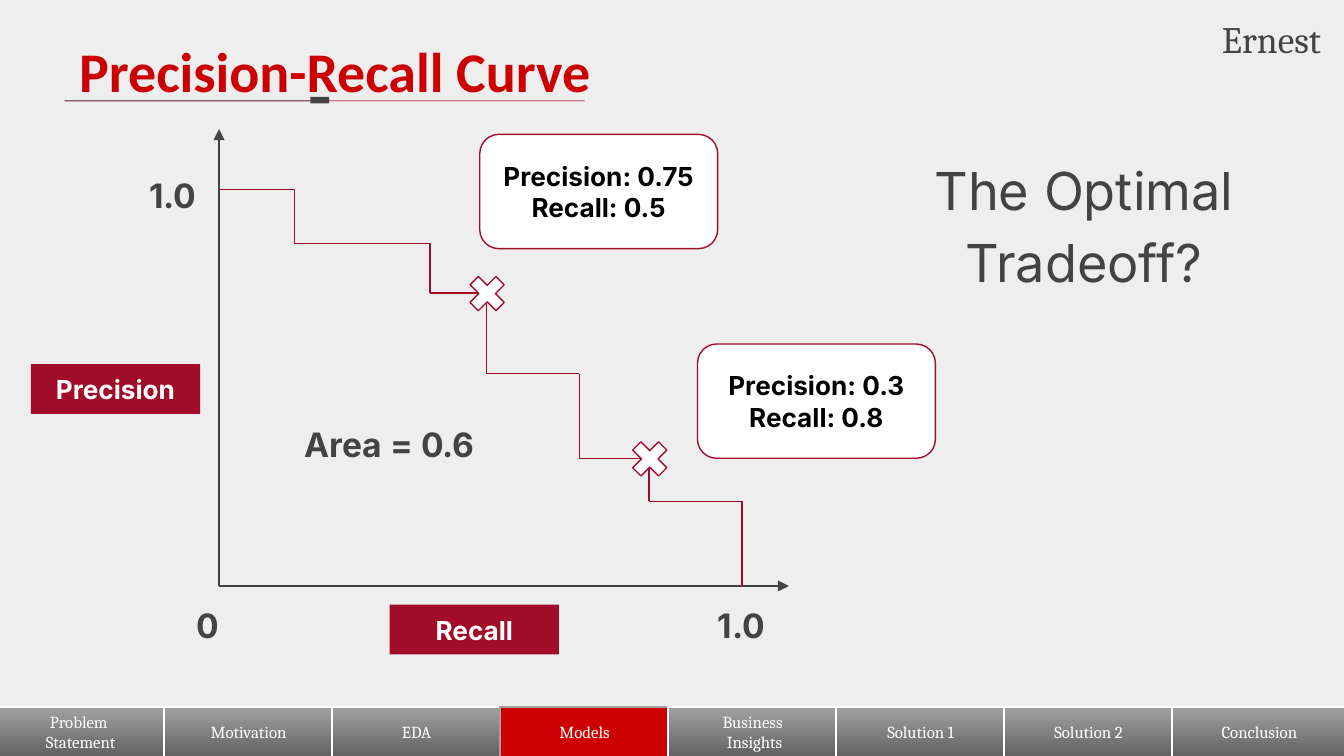
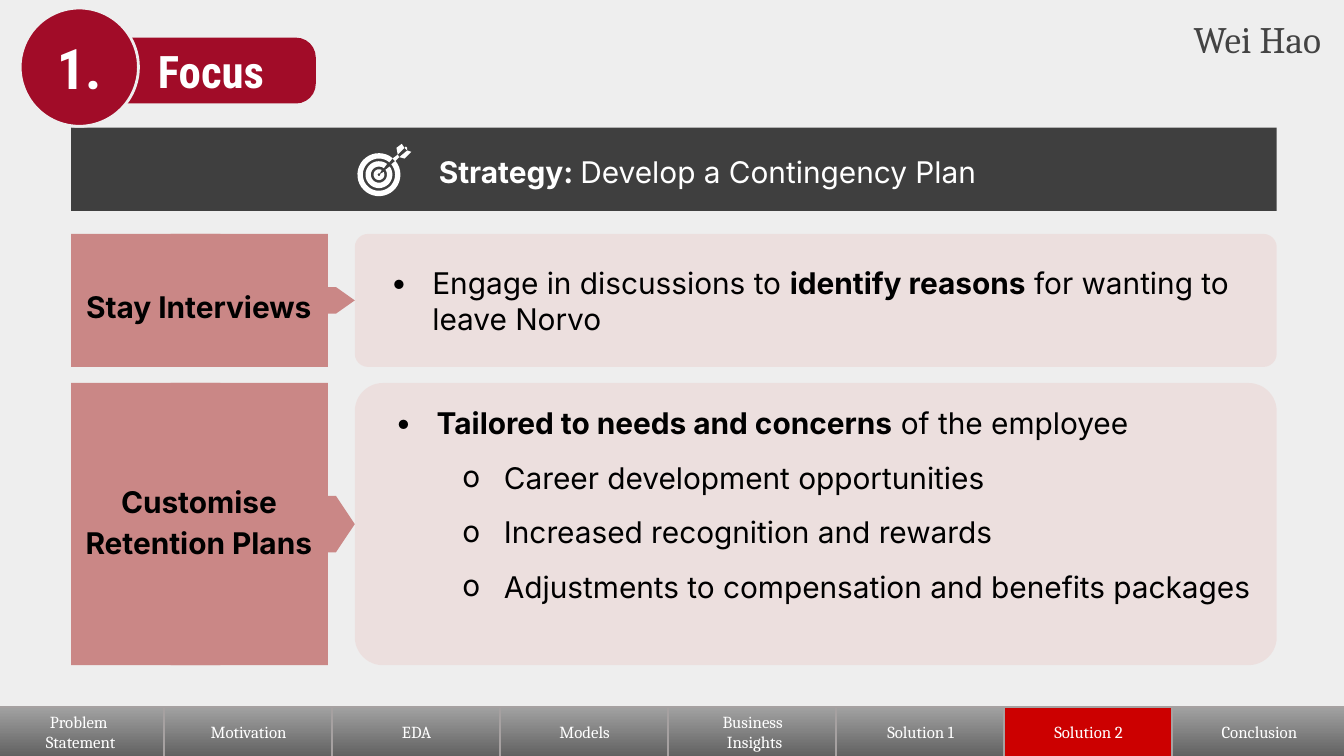
import math
from dataclasses import dataclass

import pptx
import pptx.dml.color
import pptx.enum.shapes
import pptx.enum.text
import pptx.oxml
import pptx.oxml.ns
import pptx.util

Inches = pptx.util.Inches
Pt = pptx.util.Pt
RGBColor = pptx.dml.color.RGBColor
Shape = pptx.enum.shapes.MSO_SHAPE
Align = pptx.enum.text.PP_ALIGN
Anchor = pptx.enum.text.MSO_ANCHOR
qn = pptx.oxml.ns.qn

BACKGROUND = RGBColor(0xEE, 0xEE, 0xEE)
WHITE = RGBColor(0xFF, 0xFF, 0xFF)
BLACK = RGBColor(0, 0, 0)
RED = RGBColor(0xCC, 0, 0)
CRIMSON = RGBColor(0xA1, 0x0C, 0x28)
CHARCOAL = RGBColor(0x43, 0x43, 0x43)
BANNER = RGBColor(0x3F, 0x3F, 0x3F)
SALMON = RGBColor(0xE3, 0x80, 0x75)
ROSE = RGBColor(0xCA, 0x87, 0x86)
TAB_TOP = RGBColor(0xA2, 0xA2, 0xA2)
TAB_BOTTOM = RGBColor(0x61, 0x61, 0x61)
TAB_EDGE = RGBColor(0xA6, 0xA1, 0xA1)

SECTIONS = ["Problem \nStatement", "Motivation", "EDA", "Models",
            "Business\n Insights", "Solution 1", "Solution 2", "Conclusion"]


@dataclass
class Style:
    size: float
    color: RGBColor
    font: str = "Inter"
    bold: bool = False
    align: Align = Align.CENTER
    anchor: Anchor = Anchor.MIDDLE
    spacing: float = 1.0
    insets: tuple = (0.1, 0.1)


TAB = Style(9, WHITE, "Cambria", insets=(0.07, 0.04))
SPEAKER = Style(20, CHARCOAL, "Cambria", align=Align.RIGHT, anchor=Anchor.TOP, insets=(0.07, 0.04))
TITLE = Style(30, RED, "Calibri", True, Align.LEFT, Anchor.TOP)
AXIS_NAME = Style(14, WHITE, bold=True)
CALLOUT = Style(14, BLACK, bold=True)
CHART_TEXT = Style(18, CHARCOAL, bold=True, anchor=Anchor.TOP, spacing=1.15)
QUESTION = Style(28, CHARCOAL, anchor=Anchor.TOP, spacing=1.15)
STRATEGY = Style(16, WHITE, spacing=1.15)
ROW_LABEL = Style(16, BLACK, bold=True, anchor=Anchor.TOP, spacing=1.15)
BODY = Style(16, BLACK, align=Align.LEFT)
BODY_TOP = Style(16, BLACK, align=Align.LEFT, anchor=Anchor.TOP)
BADGE_NUMBER = Style(30, WHITE, "Roboto Condensed", True)
BADGE_NAME = Style(24, WHITE, "Roboto Condensed", True)


def set_alpha(element, percent):
    color = element.find(".//" + qn("a:srgbClr"))
    alpha = color.makeelement(qn("a:alpha"), {"val": str(percent * 1000)})
    color.append(alpha)


def write_runs(paragraph, runs, style):
    paragraph.alignment = style.align
    paragraph.line_spacing = style.spacing
    paragraph.font.size = Pt(style.size)
    for text, bold in runs:
        run = paragraph.add_run()
        run.text = text
        run.font.name = style.font
        run.font.size = Pt(style.size)
        run.font.bold = bold
        run.font.color.rgb = style.color


def prepare_frame(shape, style):
    frame = shape.text_frame
    frame.word_wrap = True
    frame.vertical_anchor = style.anchor
    frame.margin_left = frame.margin_right = Inches(style.insets[0])
    frame.margin_top = frame.margin_bottom = Inches(style.insets[1])
    return frame


def write_text(shape, text, style):
    frame = prepare_frame(shape, style)
    for index, line in enumerate(text.split("\n")):
        paragraph = frame.add_paragraph() if index else frame.paragraphs[0]
        write_runs(paragraph, [(line, style.bold)], style)


def write_bullets(shape, items, style):
    frame = prepare_frame(shape, style)
    for index, (level, runs) in enumerate(items):
        paragraph = frame.add_paragraph() if index else frame.paragraphs[0]
        paragraph.level = level
        properties = paragraph._p.get_or_add_pPr()
        properties.set("marL", str(Inches(0.45 + 0.5 * level)))
        properties.set("indent", str(Inches(-0.31)))
        color = pptx.oxml.parse_xml(
            f'<a:buClr {pptx.oxml.ns.nsdecls("a")}><a:srgbClr val="{BLACK}"/></a:buClr>')
        properties.append(color)
        properties.append(properties.makeelement(qn("a:buSzPts"), {"val": str(style.size * 100)}))
        properties.append(properties.makeelement(qn("a:buFont"), {"typeface": style.font}))
        properties.append(properties.makeelement(qn("a:buChar"), {"char": "•o"[level]}))
        if level:
            paragraph.space_before = Pt(10)
        write_runs(paragraph, runs, style)


def paint(shape, fill, line=None, width=0.75):
    shape.shadow.inherit = False
    shape.fill.solid()
    shape.fill.fore_color.rgb = fill
    if line is None:
        shape.line.fill.background()
    else:
        shape.line.color.rgb = line
        shape.line.width = Pt(width)


def add_box(shapes, kind, box, fill, line=None, width=0.75, adjust=None):
    shape = shapes.add_shape(kind, *map(Inches, box))
    paint(shape, fill, line, width)
    if adjust is not None:
        shape.adjustments[0] = adjust
    return shape


def add_label(slide, box, text, style):
    write_text(slide.shapes.add_textbox(*map(Inches, box)), text, style)


def add_line(shapes, start, end, color, arrow=False, alpha=None):
    line = shapes.add_connector(pptx.enum.shapes.MSO_CONNECTOR.STRAIGHT,
                                *map(Inches, (*start, *end)))
    line.line.color.rgb = color
    line.line.width = Pt(0.75)
    properties = line._element.spPr
    outline = line.line._get_or_add_ln()
    if alpha:
        set_alpha(outline, alpha)
    if arrow:
        outline.append(outline.makeelement(qn("a:tailEnd"), {"type": "triangle"}))
    properties.append(properties.makeelement(qn("a:effectLst"), {}))


def add_polygon(shapes, points, fill):
    corners = [(Inches(x), Inches(y)) for x, y in points]
    builder = shapes.build_freeform(*corners[0], scale=1.0)
    builder.add_line_segments(corners[1:], close=True)
    paint(builder.convert_to_shape(), fill)


def add_tabs(slide, active, edge):
    for index, name in enumerate(SECTIONS):
        width = 1.3 if index == len(SECTIONS) - 1 else 1.26
        current = name == active
        tab = add_box(slide.shapes, Shape.SNIP_1_RECTANGLE, (-0.03 + 1.25 * index, 5.26, width, 0.37),
                      RED, TAB_EDGE if current else edge, adjust=0)
        if not current:
            tab.fill.gradient()
            tab.fill.gradient_angle = 270
            for stop, position, color in zip(tab.fill.gradient_stops, (0, 1), (TAB_TOP, TAB_BOTTOM)):
                stop.position = position
                stop.color.rgb = color
        write_text(tab, name, TAB)


def add_slide(presentation, active, edge, speaker):
    slide = presentation.slides.add_slide(presentation.slide_layouts[6])
    slide.background.fill.solid()
    slide.background.fill.fore_color.rgb = BACKGROUND
    add_tabs(slide, active, edge)
    add_label(slide, (8.49, 0.08, 1.41, 0.41), speaker, SPEAKER)
    return slide


def add_title(slide, text):
    add_label(slide, (0.49, 0.17, 8.43, 0.63), text, TITLE)
    group = slide.shapes.add_group_shape().shapes
    add_line(group, (0.48, 0.75), (4.35, 0.75), CRIMSON, alpha=50)
    add_line(group, (0.48, 0.75), (2.31, 0.75), CHARCOAL, alpha=50)
    add_box(group, Shape.RECTANGLE, (2.31, 0.72, 0.14, 0.05), CHARCOAL)


def add_callout(slide, cross, corner, text):
    add_box(slide.shapes, Shape.MATH_MULTIPLY, (*cross, 0.37, 0.37), WHITE, CRIMSON, adjust=0.235)
    callout = add_box(slide.shapes, Shape.ROUNDED_RECTANGLE, (*corner, 1.77, 0.85),
                      WHITE, CRIMSON, adjust=0.167)
    write_text(callout, text, CALLOUT)


def add_arc_ring(shapes, center, outer, inner, gap):
    angles = [math.radians(45 + gap + step * (360 - 2 * gap) / 36) for step in range(37)]
    around = [(outer, angle) for angle in angles] + [(inner, angle) for angle in reversed(angles)]
    add_polygon(shapes, [(center[0] + radius * math.cos(angle), center[1] - radius * math.sin(angle))
                         for radius, angle in around], WHITE)


def add_target_icon(slide):
    group = slide.shapes.add_group_shape().shapes
    for outer, inner, gap in ((0.16, 0.12, 5), (0.1, 0.06, 8), (0.04, 0.01, 15)):
        add_arc_ring(group, (2.82, 1.3), outer, inner, gap)
    dart = [
        [(2.96, 1.15), (2.92, 1.18), (2.94, 1.2), (2.97, 1.17)],
        [(3.02, 1.09), (3.01, 1.1), (3.03, 1.12), (3.03, 1.1)],
        [(2.99, 1.07), (2.95, 1.1), (2.96, 1.15), (3.01, 1.1)],
        [(3.03, 1.12), (2.97, 1.17), (3.01, 1.18), (3.06, 1.13)],
    ]
    for points in dart:
        add_polygon(group, points, WHITE)


def add_strategy_row(slide, top, height, label, label_box, items, style):
    panel = add_box(slide.shapes, Shape.ROUNDED_RECTANGLE, (2.64, top, 6.86, height), SALMON, adjust=0.1)
    set_alpha(panel.fill._xPr, 13)
    write_bullets(panel, items, style)
    group = slide.shapes.add_group_shape().shapes
    outline = [(1.27, 0), (2.44, 0), (2.44, 0.4), (2.5, 0.4), (2.64, 0.5),
               (2.5, 0.6), (2.44, 0.6), (2.44, 1), (1.27, 1)]
    add_polygon(group, [(x, top + share * height) for x, share in outline], ROSE)
    add_box(group, Shape.RECTANGLE, (0.53, top, 1.11, height), ROSE)
    add_label(slide, label_box, label, ROW_LABEL)


def build_curve_slide(presentation):
    slide = add_slide(presentation, "Models", WHITE, "Ernest")
    add_title(slide, "Precision-Recall Curve")
    origin = (1.63, 4.36)
    for end in ((5.87, 4.36), (1.63, 0.96)):
        add_line(slide.shapes, origin, end, CHARCOAL, arrow=True)
    for corner, name in (((0.23, 2.71), "Precision"), ((2.9, 4.5), "Recall")):
        write_text(add_box(slide.shapes, Shape.RECTANGLE, (*corner, 1.26, 0.37), CRIMSON), name, AXIS_NAME)
    for left, top, text in ((0.96, 1.16, "1.0"), (5.19, 4.36, "1.0"), (1.22, 4.36, "0")):
        add_label(slide, (left, top, 0.65, 0.5), text, CHART_TEXT)
    add_label(slide, (2.11, 3.01, 1.58, 0.5), "Area = 0.6", CHART_TEXT)
    across = [1.64, 2.19, 3.2, 3.62, 4.31, 4.83, 5.52]
    down = [1.41, 1.81, 2.18, 2.78, 3.41, 3.73, 4.36]
    for index in range(6):
        corner = (across[index + 1], down[index])
        add_line(slide.shapes, (across[index], down[index]), corner, CRIMSON)
        add_line(slide.shapes, corner, (across[index + 1], down[index + 1]), CRIMSON)
    add_callout(slide, (4.65, 3.23), (5.19, 2.56), "Precision: 0.3\nRecall: 0.8")
    add_callout(slide, (3.44, 2), (3.57, 1), "Precision: 0.75\nRecall: 0.5")
    add_label(slide, (6.6, 1.01, 2.93, 1.22), "The Optimal Tradeoff?", QUESTION)


def build_focus_slide(presentation):
    slide = add_slide(presentation, "Solution 2", TAB_EDGE, "Wei Hao")
    banner = add_box(slide.shapes, Shape.RECTANGLE, (0.53, 0.95, 8.97, 0.62), BANNER)
    paragraph = prepare_frame(banner, STRATEGY).paragraphs[0]
    paragraph._p.get_or_add_pPr().set("indent", str(Inches(0.5)))
    write_runs(paragraph, [("Strategy: ", True), ("Develop a Contingency Plan", False)], STRATEGY)
    add_target_icon(slide)
    add_strategy_row(slide, 1.74, 0.99, "Stay Interviews", (0.53, 2.01, 1.9, 0.51), [
        (0, [("Engage in discussions to ", False), ("identify reasons", True),
             (" for wanting to leave Norvo", False)]),
    ], BODY)
    add_strategy_row(slide, 2.85, 2.1, "Customise Retention Plans", (0.49, 3.46, 1.98, 0.82), [
        (0, [("Tailored to needs and concerns", True), (" of the employee", False)]),
        (1, [("Career development opportunities", False)]),
        (1, [("Increased recognition and rewards", False)]),
        (1, [("Adjustments to compensation and benefits packages", False)]),
    ], BODY_TOP)
    name = add_box(slide.shapes, Shape.ROUNDED_RECTANGLE, (0.79, 0.28, 1.56, 0.49), CRIMSON, adjust=0.3)
    write_text(name, "Focus", BADGE_NAME)
    number = add_box(slide.shapes, Shape.OVAL, (0.15, 0.06, 0.88, 0.88), CRIMSON, BACKGROUND, 1.5)
    write_text(number, "1.", BADGE_NUMBER)


def main():
    presentation = pptx.Presentation()
    presentation.slide_width = Inches(10)
    presentation.slide_height = Inches(10 * 9 / 16)
    build_curve_slide(presentation)
    build_focus_slide(presentation)
    presentation.save("out.pptx")


if __name__ == "__main__":
    main()
